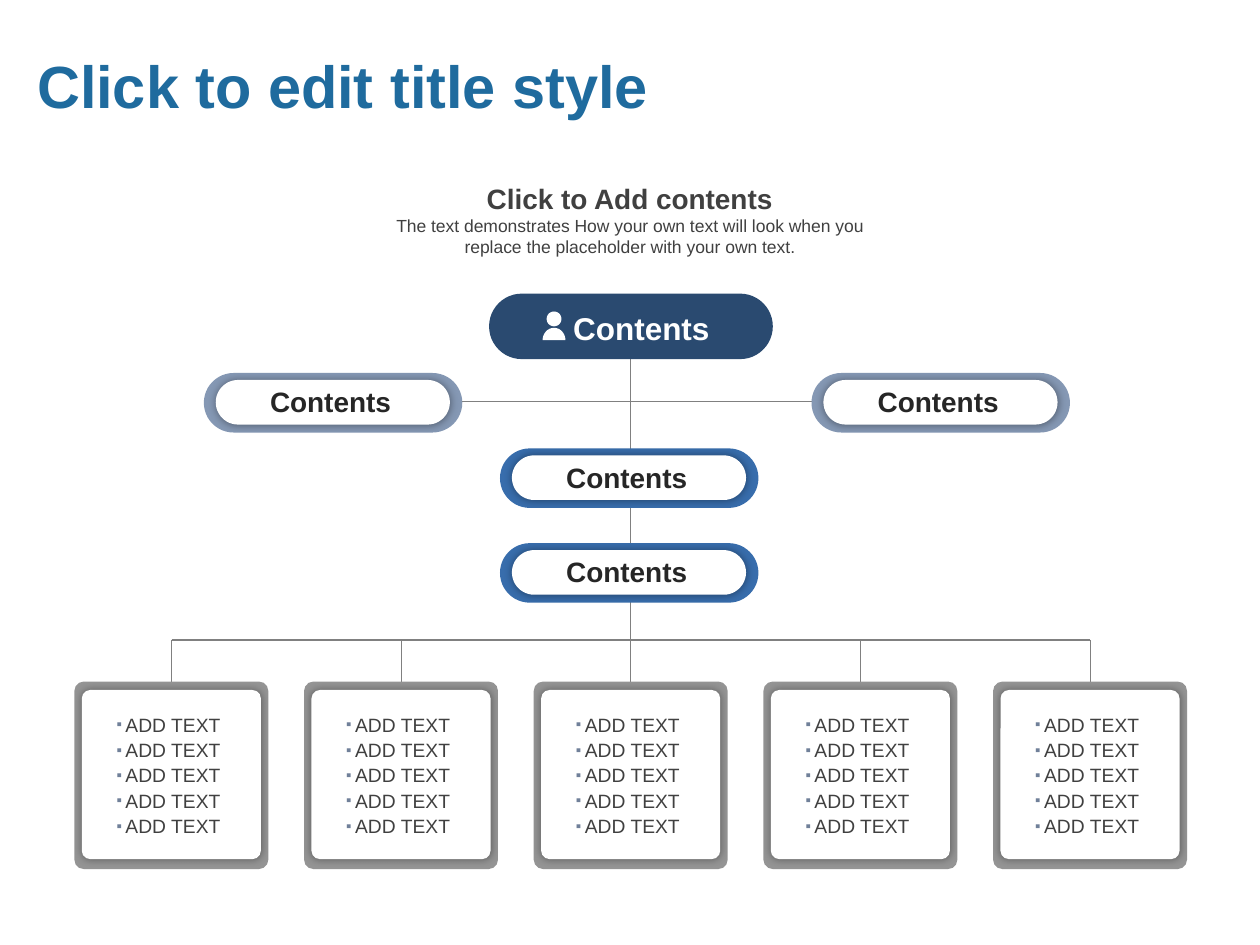
from math import cos, pi, sin
from pptx import Presentation
from pptx.dml.color import RGBColor
from pptx.enum.shapes import MSO_CONNECTOR, MSO_SHAPE
from pptx.enum.text import MSO_ANCHOR, PP_ALIGN
from pptx.oxml.ns import qn
from pptx.util import Cm, Pt
from lxml.etree import SubElement

title = "Click to edit title style"
intro = [
    ("Click to Add contents", "lead"),
    ("The text demonstrates How your own text will look when you "
     "replace the placeholder with your own text.", "note"),
]
root = "Contents"
pills = [
    ("Contents", 4.11, 7.52, "side"),
    ("Contents", 16.36, 7.52, "side"),
    ("Contents", 10.08, 9.04, "core"),
    ("Contents", 10.08, 10.95, "core"),
]
cards = [["ADD TEXT"] * 5 for _ in range(5)]

theme = {
    "font": "Arial",
    "title": (34, "1F6B9E", True),
    "lead": (16, "404040", True),
    "note": (10, "404040", False),
    "root": (18, "FFFFFF", True),
    "pill": (16, "262626", True),
    "item": (11, "404040", False),
    "fill": {"root": "2A4A70", "side": "8598B4", "core": "386DAC",
             "card": "949494", "face": "FFFFFF"},
    "line": "808080",
    "mark": "708099",
    "shade": "000000",
}

deck = Presentation()
deck.slide_width, deck.slide_height = Cm(25.4), Cm(19.05)
slide = deck.slides.add_slide(deck.slide_layouts[6])


def paint(shape, hue):
    shape.shadow.inherit = False
    shape.fill.solid()
    shape.fill.fore_color.rgb = RGBColor.from_string(hue)
    shape.line.fill.background()


def block(x, y, w, h, curve, kind):
    shape = slide.shapes.add_shape(
        MSO_SHAPE.ROUNDED_RECTANGLE, Cm(x), Cm(y), Cm(w), Cm(h))
    shape.adjustments[0] = curve
    paint(shape, theme["fill"][kind])
    return shape


def face(x, y, w, h, curve):
    shape = block(x, y, w, h, curve, "face")
    list_ = shape.element.spPr.find(qn("a:effectLst"))
    glow = SubElement(list_, qn("a:outerShdw"), blurRad=str(Pt(5)),
                      dist="0", dir="0", algn="ctr", rotWithShape="0")
    tint = SubElement(glow, qn("a:srgbClr"), val=theme["shade"])
    SubElement(tint, qn("a:alpha"), val="40000")


def wire(x1, y1, x2, y2):
    line = slide.shapes.add_connector(
        MSO_CONNECTOR.STRAIGHT, Cm(x1), Cm(y1), Cm(x2), Cm(y2))
    line.line.color.rgb = RGBColor.from_string(theme["line"])
    line.line.width = Pt(0.75)
    SubElement(line.element.spPr, qn("a:effectLst"))


def bullet(para):
    props = para._p.get_or_add_pPr()
    props.set("marL", str(Cm(0.18)))
    props.set("indent", str(-Cm(0.18)))
    tint = SubElement(props, qn("a:buClr"))
    SubElement(tint, qn("a:srgbClr"), val=theme["mark"])
    SubElement(props, qn("a:buSzPct"), val="80000")
    SubElement(props, qn("a:buFont"), typeface=theme["font"])
    SubElement(props, qn("a:buChar"), char="▪")


def write(x, y, w, h, lines, align=PP_ALIGN.CENTER, wrap=True):
    frame = slide.shapes.add_textbox(Cm(x), Cm(y), Cm(w), Cm(h)).text_frame
    frame.word_wrap = wrap
    frame.text = "\n".join(text for text, _ in lines)
    for para, (_, style) in zip(frame.paragraphs, lines):
        para.alignment = align
        if style == "item":
            para.line_spacing = 1.1
            bullet(para)
        size, hue, bold = theme[style]
        for run in para.runs:
            run.font.name = theme["font"]
            run.font.size = Pt(size)
            run.font.bold = bold
            run.font.color.rgb = RGBColor.from_string(hue)
    return frame


def arc(x, y, wide, high, start, end):
    turns = [start + (end - start) * i / 24 for i in range(25)]
    return [(Cm(x + wide * cos(t)), Cm(y + high * sin(t))) for t in turns]


def person(x, y):
    head = arc(x, y, 0.15, 0.15, 0, 2 * pi)
    body = arc(x, y + 0.43, 0.23, 0.25, pi, 2 * pi)
    pen = slide.shapes.build_freeform(*head[0])
    pen.add_line_segments(head[1:])
    pen.move_to(*body[0])
    pen.add_line_segments(body[1:])
    paint(pen.convert_to_shape(), theme["fill"]["face"])


mid, rail, top = 12.71, 12.9, 13.74
lefts = [1.5 + 4.63 * i for i in range(len(cards))]
drops = [left + 1.96 for left in lefts]

wire(8.23, 8.1, 17.09, 8.1)
wire(mid, 7.24, mid, 17.02)
wire(drops[0], rail, drops[-1], rail)
for drop in drops[:2] + drops[3:]:
    wire(drop, rail, drop, 14.58)

frame = write(0.5, 0.43, 17.42, 2.57, [(title, "title")], PP_ALIGN.LEFT)
frame.vertical_anchor = MSO_ANCHOR.MIDDLE
write(7.26, 3.53, 10.87, 1.8, intro)

block(9.86, 5.92, 5.72, 1.32, 0.5, "root")
write(11.28, 6.1, 3.3, 1.02, [(root, "root")], wrap=False)
person(11.17, 6.43)

for text, x, y, kind in pills:
    block(x, y, 5.21, 1.2, 0.5, kind)
    face(x + 0.24, y + 0.14, 4.72, 0.9, 0.5)
    write(x + 1.07, y + 0.11, 2.97, 0.94, [(text, "pill")], wrap=False)

for x, items in zip(lefts, cards):
    block(x, top, 3.91, 3.78, 0.05, "card")
    face(x + 0.15, top + 0.17, 3.61, 3.41, 0.05)
    write(x + 0.6, top + 0.46, 2.72, 2.84,
          [(item, "item") for item in items], PP_ALIGN.JUSTIFY)

deck.save("out.pptx")
